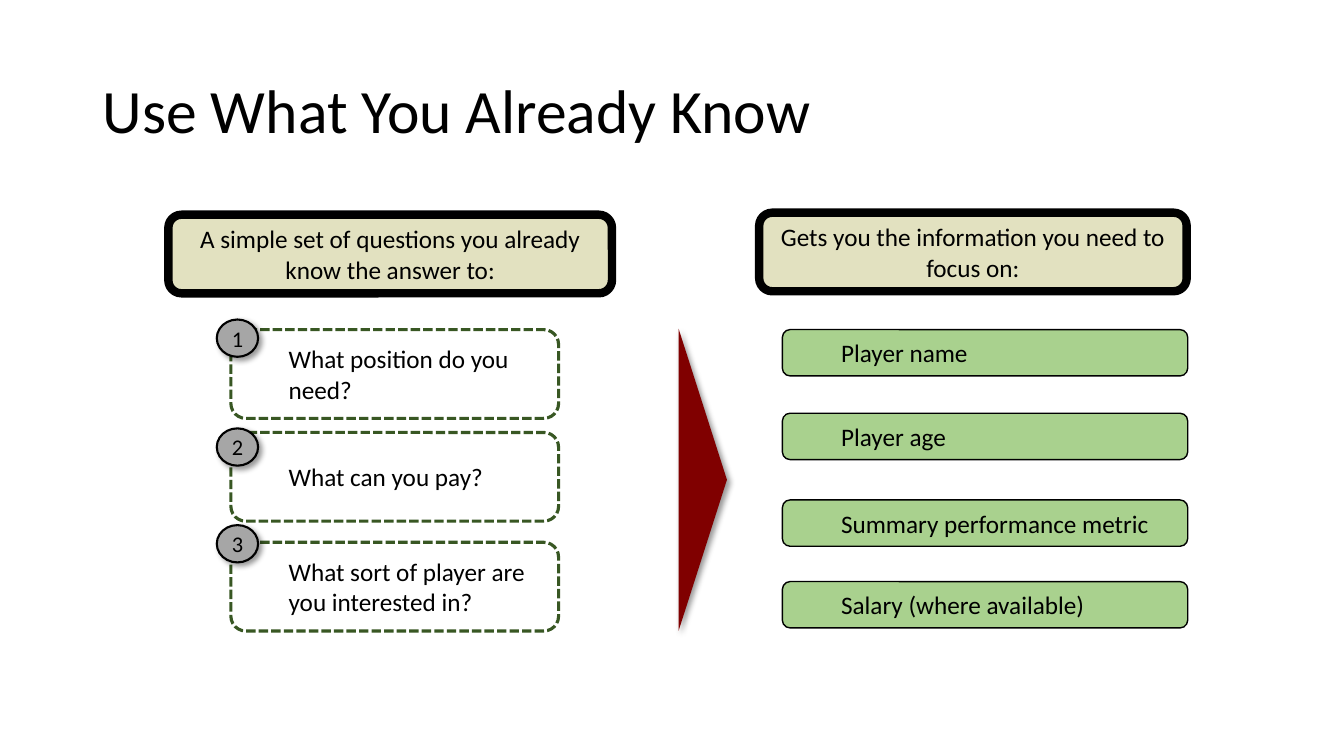
from lxml import etree
from pptx import Presentation
from pptx.dml.color import RGBColor
from pptx.enum import dml, shapes, text
from pptx.oxml import ns
from pptx.util import Inches, Pt

TITLE = "Use What You Already Know"
HEADINGS = [
    ("A simple set of questions you already know the answer to:", 1.67, 2.13, 4.4),
    ("Gets you the information you need to focus on:", 7.53, 2.11, 4.24),
]
QUESTIONS = [
    ("What position do you need?", 3.27, 3.17),
    ("What can you pay?", 4.29, 4.25),
    ("What sort of player are you interested in?", 5.38, 5.21),
]
FACTS = [
    ("Player name", 3.27),
    ("Player age", 4.1),
    ("Summary performance metric", 4.96),
    ("Salary (where available)", 5.77),
]

FONT = "Calibri"
BLACK = RGBColor(0, 0, 0)
WHITE = RGBColor(0xFF, 0xFF, 0xFF)
SAND = RGBColor(0xE2, 0xE1, 0xC0)
DARK_GREEN = RGBColor(0x38, 0x57, 0x23)
LIGHT_GREEN = RGBColor(0xA9, 0xD1, 0x8E)
GREY = RGBColor(0xA6, 0xA6, 0xA6)
MAROON = RGBColor(0x80, 0, 0)
ROUNDED = shapes.MSO_SHAPE.ROUNDED_RECTANGLE
INDENT = Inches(0.5)

deck = Presentation()
deck.slide_width, deck.slide_height = Inches(13.33), Inches(7.5)
slide = deck.slides.add_slide(deck.slide_layouts[5])


def place(preset, box, fill, line=None, width=0):
    part = slide.shapes.add_shape(preset, *map(Inches, box))
    part.shadow.inherit = False
    part.fill.solid()
    part.fill.fore_color.rgb = fill
    if line is None:
        part.line.fill.background()
    else:
        part.line.color.rgb = line
        part.line.width = Pt(width)
    return part


def write(part, words, size, align, insets=(0.1, 0.05), indent=0):
    frame = part.text_frame
    frame.text = words
    frame.word_wrap = True
    frame.vertical_anchor = text.MSO_ANCHOR.MIDDLE
    frame.margin_left = frame.margin_right = Inches(insets[0])
    frame.margin_top = frame.margin_bottom = Inches(insets[1])
    paragraph = frame.paragraphs[0]
    paragraph.alignment = align
    if indent:
        paragraph.level = 1
        paragraph._p.get_or_add_pPr().set("marL", str(indent))
    font = paragraph.runs[0].font
    font.name, font.size, font.color.rgb = FONT, Pt(size), BLACK
    return paragraph


def cast_shadow(part, direction):
    effects = part._element.spPr.find(ns.qn("a:effectLst"))
    shadow = etree.SubElement(
        effects, ns.qn("a:outerShdw"), blurRad=str(Pt(4)), dist=str(Pt(3)),
        dir=str(direction * 60000), algn="tl", rotWithShape="0")
    color = etree.SubElement(shadow, ns.qn("a:srgbClr"), val=str(BLACK))
    etree.SubElement(color, ns.qn("a:alpha"), val="40000")


LEFT, CENTER = text.PP_ALIGN.LEFT, text.PP_ALIGN.CENTER

title = slide.shapes.title
title.left, title.top, title.width, title.height = map(Inches, (0.92, 0.4, 11.5, 1.45))
write(title, TITLE, 44, LEFT).line_spacing = 0.9

arrow = place(shapes.MSO_SHAPE.ISOSCELES_TRIANGLE, (5.47, 4.52, 3, 0.48), MAROON)
arrow.rotation = 90
cast_shadow(arrow, 45)

for heading, left, top, width in HEADINGS:
    banner = place(ROUNDED, (left, top, width, 0.78), SAND, BLACK, 6)
    write(banner, heading, 18, CENTER)

for question, top, _ in QUESTIONS:
    card = place(ROUNDED, (2.29, top, 3.25, 0.88), WHITE, DARK_GREEN, 2.25)
    card.line.dash_style = dml.MSO_LINE.SQUARE_DOT
    write(card, question, 18, LEFT, (0.03, 0.03), INDENT)

for number, (_, _, top) in enumerate(QUESTIONS, 1):
    badge = place(shapes.MSO_SHAPE.OVAL, (2.15, top, 0.41, 0.37), GREY, BLACK, 1.5)
    cast_shadow(badge, 45)
    write(badge, str(number), 16, CENTER, (0.03, 0.03))
    badge.text_frame.word_wrap = False

for fact, top in FACTS:
    bar = place(ROUNDED, (7.76, top, 4.02, 0.46), LIGHT_GREEN, BLACK, 1)
    write(bar, fact, 18, LEFT, (0.06, 0.03), INDENT)

deck.save("out.pptx")
